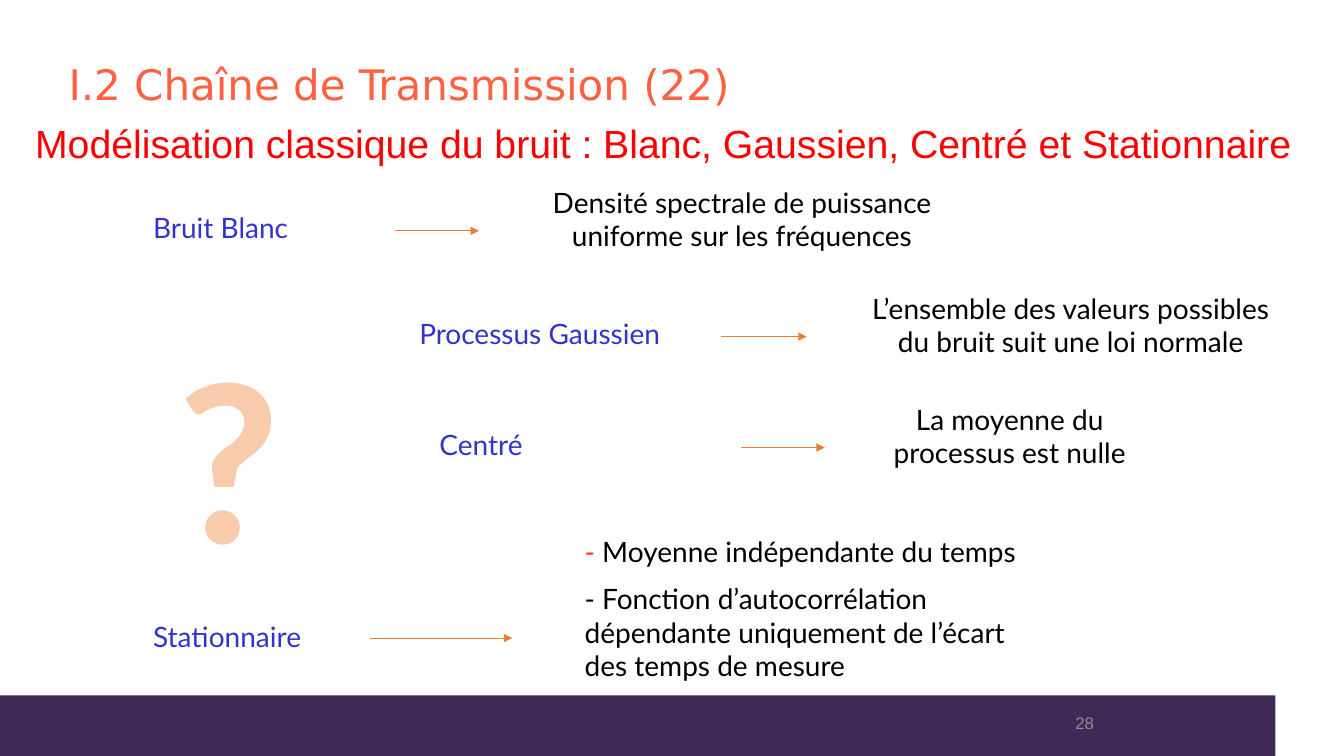
from lxml.etree import SubElement
from pptx import Presentation
from pptx.dml.color import RGBColor
from pptx.enum.shapes import MSO_CONNECTOR, MSO_SHAPE
from pptx.enum.text import MSO_ANCHOR, PP_ALIGN
from pptx.oxml.ns import qn
from pptx.util import Pt

EMU_PER_PX = 9144
WHITE = RGBColor(0xFF, 0xFF, 0xFF)
BLACK = RGBColor(0x00, 0x00, 0x00)
PURPLE = RGBColor(0x3F, 0x2A, 0x56)
CORAL = RGBColor(0xFF, 0x61, 0x40)
RED = RGBColor(0xFF, 0x00, 0x00)
DASH_RED = RGBColor(0xFF, 0x33, 0x00)
BLUE = RGBColor(0x33, 0x33, 0xCC)
ORANGE = RGBColor(0xED, 0x7D, 0x31)
PEACH = RGBColor(0xF8, 0xCB, 0xAD)
GREY = RGBColor(0x8C, 0x8C, 0x8C)

TERMS = [
    ("Bruit Blanc", (142, 204, 233, 43)),
    ("Processus Gaussien", (406, 309, 308, 43)),
    ("Centré", (426, 419, 308, 43)),
    ("Stationnaire", (142, 610, 308, 43)),
]
ARROWS = [(392, 475, 229), (715, 800, 334), (735, 818, 444), (367, 508, 633)]
DEFINITIONS = [
    ("Densité spectrale de puissance uniforme sur les fréquences", (517, 179, 438, 77)),
    ("L’ensemble des valeurs possibles du bruit suit une loi normale", (843, 284, 438, 77)),
    ("La moyenne du processus est nulle", (860, 394, 283, 77)),
]


def px(*lengths):
    """Turn pixel lengths into EMU."""
    return [length * EMU_PER_PX for length in lengths]


def style(para, size, color, font="Lato", align=PP_ALIGN.LEFT):
    """Format one paragraph."""
    para.font.size = Pt(size)
    para.font.name = font
    para.font.color.rgb = color
    para.alignment = align


def add_text(page, text, place, size, color, **options):
    """Add a wrapped text box and return it."""
    box = page.shapes.add_textbox(*px(*place))
    box.text_frame.word_wrap = True
    para = box.text_frame.paragraphs[0]
    para.text = text
    style(para, size, color, **options)
    return box


def add_block(page, place, color):
    """Add a plain filled rectangle."""
    block = page.shapes.add_shape(MSO_SHAPE.RECTANGLE, *px(*place))
    block.shadow.inherit = False
    block.fill.solid()
    block.fill.fore_color.rgb = color
    block.line.fill.background()


def add_arrow(page, start, end, height):
    """Add a thin horizontal arrow."""
    arrow = page.shapes.add_connector(MSO_CONNECTOR.STRAIGHT, *px(start, height, end, height))
    arrow.line.color.rgb = ORANGE
    arrow.line.width = Pt(0.75)
    SubElement(arrow.line._get_or_add_ln(), qn("a:tailEnd"), type="triangle")
    SubElement(arrow._element.spPr, qn("a:effectLst"))


def add_definition(page, text, place, align=PP_ALIGN.CENTER):
    """Add a definition on a white ground and return its box."""
    box = add_text(page, text, place, 20, BLACK, align=align)
    box.fill.solid()
    box.fill.fore_color.rgb = WHITE
    return box


def add_stationary_definition(page):
    """Add the two conditions of a stationary process."""
    frame = add_definition(page, "", (570, 525, 480, 160), PP_ALIGN.LEFT).text_frame
    mean = frame.paragraphs[0]
    dash = mean.add_run()
    dash.text = "- "
    dash.font.color.rgb = DASH_RED
    mean.add_run().text = "Moyenne indépendante du temps"
    correlation = frame.add_paragraph()
    correlation.text = ("- Fonction d’autocorrélation dépendante uniquement "
                        "de l’écart des temps de mesure")
    style(correlation, 20, BLACK)
    correlation.space_before = Pt(10)


def set_title(page, text, place):
    """Place and format the title placeholder."""
    title = page.shapes.title
    title.left, title.top, title.width, title.height = px(*place)
    title.text_frame.text = text
    title.text_frame.vertical_anchor = MSO_ANCHOR.MIDDLE
    para = title.text_frame.paragraphs[0]
    style(para, 30, CORAL, font="DejaVu Sans")
    para.line_spacing = 0.9


def main():
    """Build the slide on the noise model."""
    deck = Presentation()
    deck.slide_width, deck.slide_height = px(1333, 750)
    page = deck.slides.add_slide(deck.slide_layouts[5])

    add_block(page, (0, 690, 1333, 60), PURPLE)
    add_block(page, (1265, 681, 68, 69), WHITE)
    set_title(page, "I.2 Chaîne de Transmission (22)", (58, 53, 1188, 66))
    heading = add_text(
        page, "Modélisation classique du bruit : Blanc, Gaussien, Centré et Stationnaire",
        (25, 119, 1285, 60), 28, RED, font="Arial")
    heading.text_frame.paragraphs[0].line_spacing = 0.9

    add_stationary_definition(page)
    for text, place in DEFINITIONS:
        add_definition(page, text, place)
    for text, place in TERMS:
        add_text(page, text, place, 20, BLUE)
    for start, end, height in ARROWS:
        add_arrow(page, start, end, height)

    question = add_text(page, "?", (137, 304, 178, 289), 166, PEACH,
                        font="Calibri", align=PP_ALIGN.CENTER)
    question.text_frame.paragraphs[0].font.bold = True
    number = add_text(page, "28", (795, 697, 300, 40), 12, GREY,
                      font="Arial", align=PP_ALIGN.RIGHT)
    number.text_frame.vertical_anchor = MSO_ANCHOR.MIDDLE
    deck.save("out.pptx")


if __name__ == "__main__":
    main()
